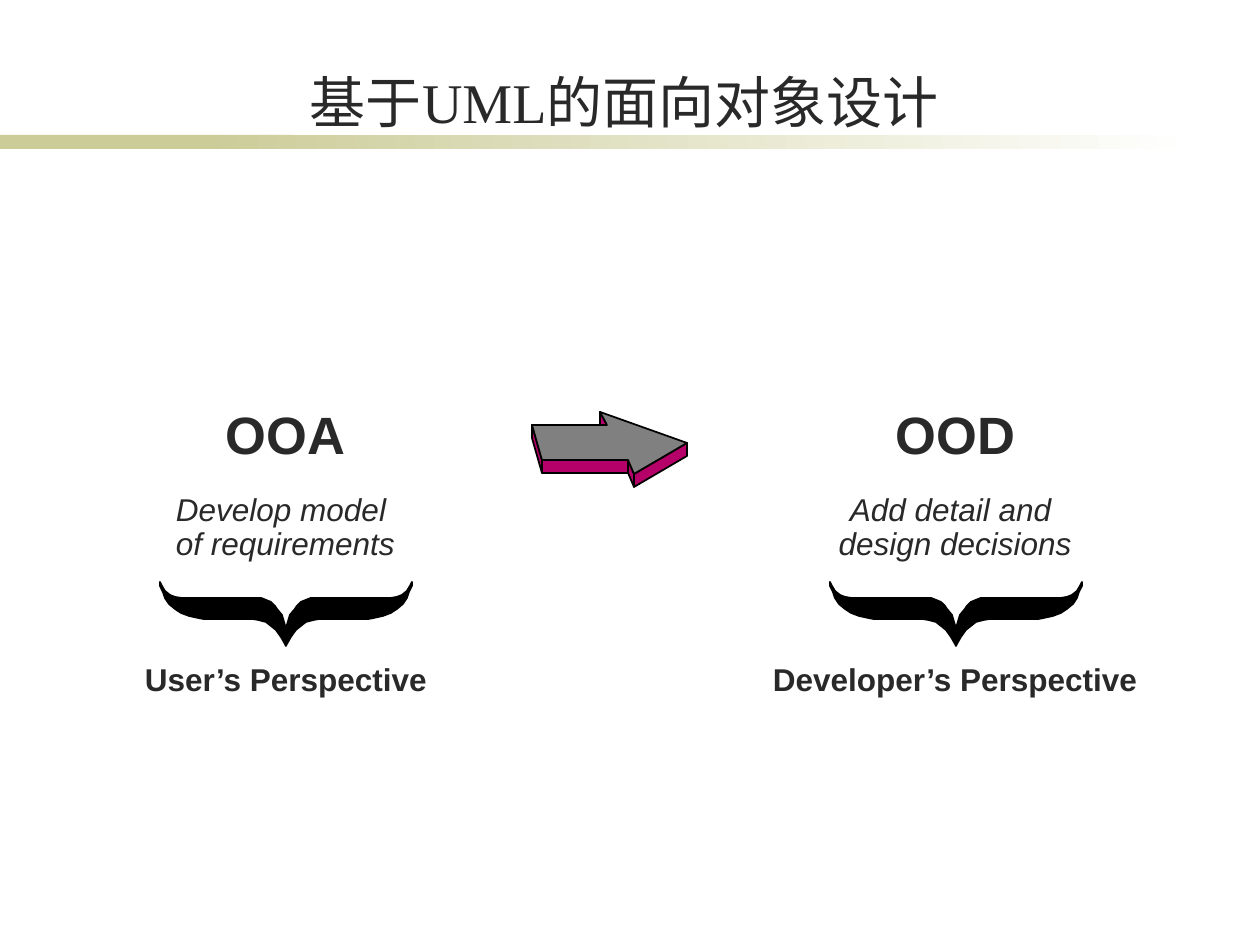
from pptx import Presentation
from pptx import util as u
from pptx.dml.color import RGBColor
from pptx.enum import shapes, text

PX = u.Inches(1) / 126
INK = "292929"
OLIVE = "CCCC99"
HEAD = dict(name="Arial", size=u.Pt(30), bold=True)
NOTE = dict(name="Arial", size=u.Pt(18), italic=True)
VIEW = dict(name="Arial", size=u.Pt(18), bold=True)
TITLE = dict(name="Times New Roman", size=u.Pt(32), bold=False)
LEFT, MID = text.PP_ALIGN.LEFT, text.PP_ALIGN.CENTER

OUTER = [(126, 0), (126, 4), (123, 10), (121, 16), (117, 22), (111, 27),
         (105, 31), (97, 34), (88, 36), (83, 37), (42, 37), (34, 37), (28, 38),
         (20, 40), (15, 44), (10, 48), (5, 55), (1, 62)]
INNER = [(1, 43), (4, 33), (9, 27), (11, 24), (15, 20), (20, 18), (25, 16),
         (30, 16), (105, 16), (111, 15), (116, 13), (121, 9), (124, 4)]
ARROW = [(600, 412), (687, 443), (634, 474), (628, 460), (542, 460),
         (532, 425), (607, 425)]
SIDES = [(0, 6), (1, 2), (2, 3), (3, 4), (4, 5)]
DEPTH = 13


def emu(*vals):
    return [round(v * PX) for v in vals]


def paint(fill, hue):
    fill.solid()
    fill.fore_color.rgb = RGBColor.from_string(hue)


def style(para, fmt, align, gap=None):
    para.alignment = align
    para.line_spacing = gap
    for key, val in fmt.items():
        setattr(para.font, key, val)
    para.font.color.rgb = RGBColor.from_string(INK)


def inset(frame, side, top):
    frame.margin_left = frame.margin_right = emu(side)[0]
    frame.margin_top = frame.margin_bottom = emu(top)[0]


def band(slide, box, stops):
    bar = slide.shapes.add_shape(shapes.MSO_SHAPE.RECTANGLE, *emu(*box))
    bar.shadow.inherit = False
    bar.line.fill.background()
    if len(stops) == 1:
        paint(bar.fill, stops[0])
        return
    bar.fill.gradient()
    bar.fill.gradient_angle = 0
    for stop, hue in zip(bar.fill.gradient_stops, stops):
        stop.color.rgb = RGBColor.from_string(hue)


def outline(slide, pts, hue):
    pen = slide.shapes.build_freeform(*pts[0], scale=PX)
    pen.add_line_segments(pts[1:], close=True)
    form = pen.convert_to_shape()
    form.shadow.inherit = False
    paint(form.fill, hue)
    paint(form.line.fill, "000000")
    form.line.width = u.Pt(1)


def arrow(slide):
    for one, two in SIDES:
        edge = [ARROW[one], ARROW[two]]
        low = [(x, y + DEPTH) for x, y in reversed(edge)]
        outline(slide, edge + low, "B50069")
    outline(slide, ARROW, "808080")


def brace(slide, mid, top):
    def flip(pts):
        return [(-x, y) for x, y in reversed(pts)]
    ring = OUTER + [(0, 64)] + flip(OUTER) + flip(INNER) + [(0, 47)] + INNER
    outline(slide, [(mid + x, top + y) for x, y in ring], "000000")


def label(slide, box, lines, fmt, align=LEFT, gap=0.9, pad=(11, 5)):
    frame = slide.shapes.add_textbox(*emu(*box)).text_frame
    frame.word_wrap = True
    frame.auto_size = text.MSO_AUTO_SIZE.NONE
    inset(frame, *pad)
    frame.text = "\n".join(lines)
    for para in frame.paragraphs:
        style(para, fmt, align, gap)


def title(slide, words):
    head = slide.shapes.title
    head.left, head.top, head.width, head.height = emu(143, 56, 963, 79)
    frame = head.text_frame
    frame.text = words
    frame.auto_size = text.MSO_AUTO_SIZE.NONE
    frame.vertical_anchor = text.MSO_ANCHOR.BOTTOM
    inset(frame, 0, 0)
    style(frame.paragraphs[0], TITLE, MID)


def main():
    deck = Presentation()
    deck.slide_width, deck.slide_height = emu(1260, 945)
    slide = deck.slides.add_slide(deck.slide_layouts[5])
    band(slide, (0, 135, 294, 14), [OLIVE])
    band(slide, (199, 135, 998, 14), [OLIVE, "FFFFFF"])
    title(slide, "基于UML的面向对象设计")
    arrow(slide)
    stages = [
        (286, "OOA", ["Develop model", "of requirements"], (165, 253), LEFT,
         "User’s Perspective", (132, 318)),
        (956, "OOD", ["Add detail and ", "design decisions"], (820, 270), MID,
         "Developer’s Perspective", (760, 401)),
    ]
    for mid, name, note, (nx, nw), align, view, (vx, vw) in stages:
        label(slide, (mid - 71, 404, 153, 67), [name], HEAD)
        label(slide, (nx, 489, nw, 79), note, NOTE, align)
        brace(slide, mid, 582)
        label(slide, (vx, 654, vw, 50), [view], VIEW, gap=None, pad=(13, 6))
    deck.save("out.pptx")


if __name__ == "__main__":
    main()
